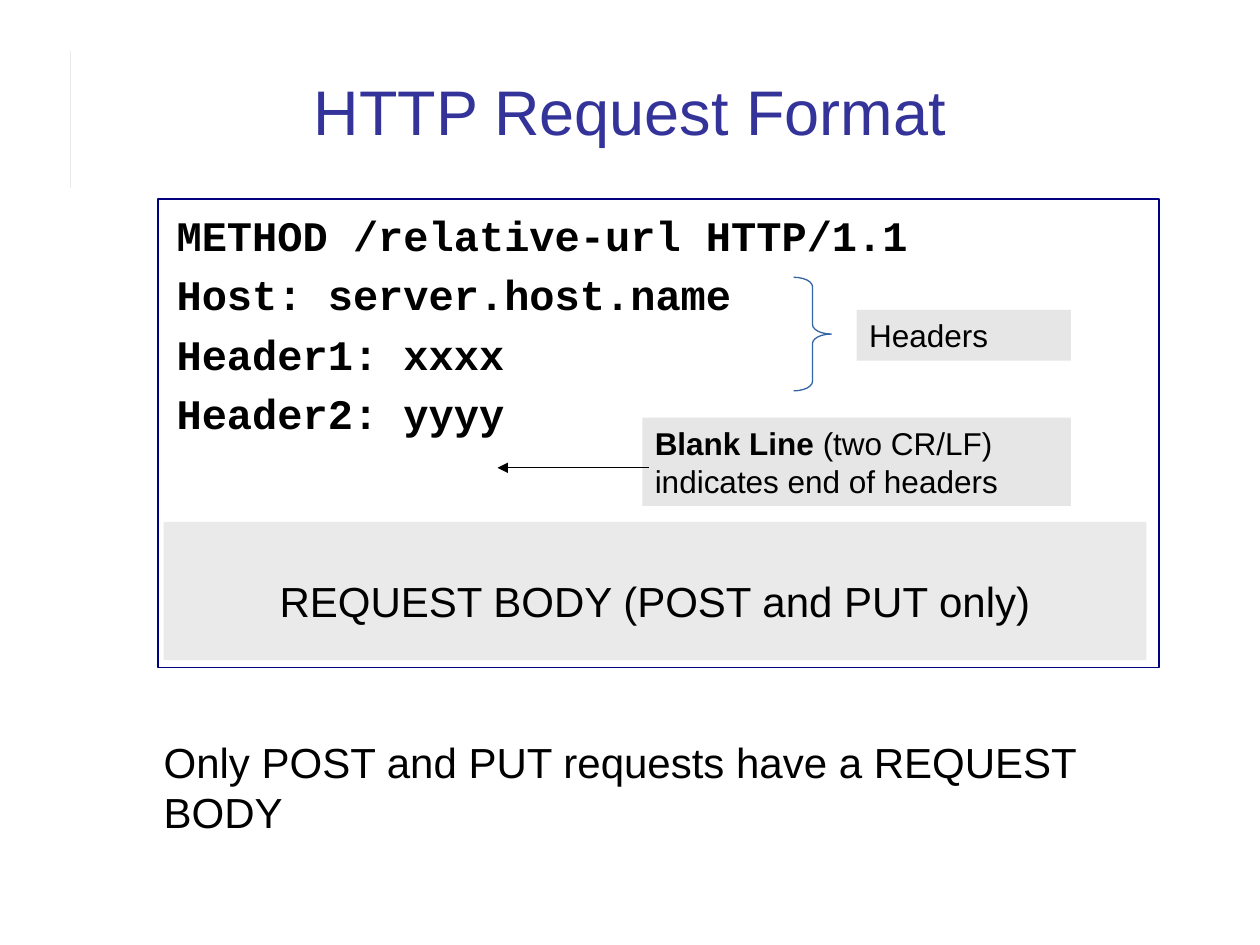
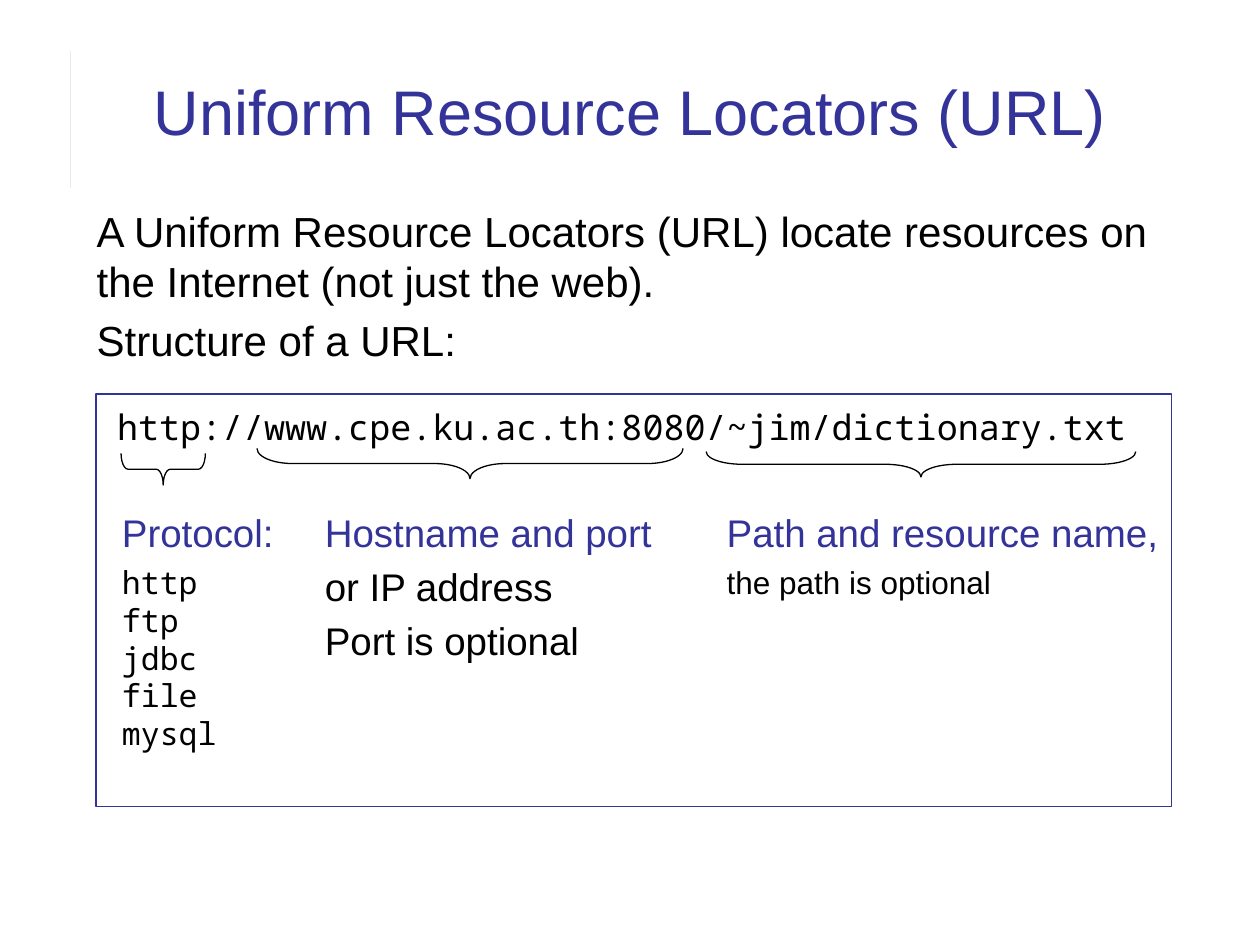
from lxml.etree import SubElement
from pptx import Presentation
from pptx.dml.color import RGBColor
from pptx.enum.shapes import MSO_CONNECTOR, MSO_SHAPE
from pptx.enum.text import MSO_ANCHOR, PP_ALIGN
from pptx.oxml.ns import qn
from pptx.util import Cm, Pt

INK = {
    "title": "333399", "text": "000000", "navy": "000080", "rule": "EAEAEA",
    "note": "E6E6E6", "body": "EAEAEA", "brace": "3465A4",
}
SANS, CODE, MONO = "Arial", "Courier New", "Noto Sans Mono"


def draw(slide, at, kind=None, fill=None, line=None, width=1, top=0.13):
    """Add a text box, or a preset shape if kind is given; at is in cm."""
    area = [Cm(n) for n in at]
    if kind is None:
        shape = slide.shapes.add_textbox(*area)
    else:
        shape = slide.shapes.add_shape(kind, *area)
        shape.shadow.inherit = False
    if fill:
        shape.fill.solid()
        shape.fill.fore_color.rgb = RGBColor.from_string(INK[fill])
    else:
        shape.fill.background()
    if line:
        shape.line.color.rgb = RGBColor.from_string(INK[line])
        shape.line.width = Pt(width)
    else:
        shape.line.fill.background()
    frame = shape.text_frame
    frame.word_wrap = True
    frame.vertical_anchor = MSO_ANCHOR.TOP
    frame.margin_left = frame.margin_right = Cm(0.25)
    frame.margin_top, frame.margin_bottom = Cm(top), Cm(0.13)
    return shape


def write(shape, text, size=18, font=SANS, color="text", bold=False,
          align=PP_ALIGN.LEFT, gap=0, join=False):
    """Add one paragraph, or with join a run at the end of the last one."""
    frame = shape.text_frame
    para = frame.paragraphs[-1]
    if not join:
        if para.runs:
            para = frame.add_paragraph()
            para.space_before = Pt(gap)
        para.alignment = align
        para.line_spacing = Pt(size * 1.2)
    run = para.add_run()
    run.text = text
    run.font.size, run.font.name, run.font.bold = Pt(size), font, bold
    run.font.color.rgb = RGBColor.from_string(INK[color])


deck = Presentation()
deck.slide_width, deck.slide_height = Cm(25.4), Cm(19.05)

# Shared title and rule
pages = []
for title in ("HTTP Request Format", "Uniform Resource Locators (URL)"):
    page = deck.slides.add_slide(deck.slide_layouts[6])
    rule = page.shapes.add_connector(
        MSO_CONNECTOR.STRAIGHT, Cm(1.42), Cm(1.02), Cm(1.42), Cm(3.78))
    rule.line.color.rgb = RGBColor.from_string(INK["rule"])
    rule.line.width = Pt(0.5)
    SubElement(rule._element.spPr, qn("a:effectLst"))
    head = draw(page, (1.7, 0.71, 22, 2.41))
    head.text_frame.vertical_anchor = MSO_ANCHOR.BOTTOM
    write(head, title, size=36, color="title", align=PP_ALIGN.CENTER)
    pages.append(page)
form, url = pages

# Request format
frame = draw(form, (3.18, 4.01, 20.19, 9.45), MSO_SHAPE.RECTANGLE,
             line="navy", top=0.22)
frame.text_frame.margin_left = Cm(0.38)
for text in ("METHOD /relative-url HTTP/1.1", "Host: server.host.name",
             "Header1: xxxx", "Header2: yyyy"):
    write(frame, text, size=24, font=CODE, bold=True, gap=5)

blank = draw(form, (12.95, 8.42, 8.64, 1.78), fill="note")
write(blank, "Blank Line", bold=True)
write(blank, " (two CR/LF) indicates end of headers", join=True)

arrow = form.shapes.add_connector(
    MSO_CONNECTOR.STRAIGHT, Cm(13.08), Cm(9.43), Cm(10.03), Cm(9.43))
arrow.line.color.rgb = RGBColor.from_string(INK["text"])
arrow.line.width = Pt(0.75)
SubElement(arrow.line._get_or_add_ln(), qn("a:tailEnd"), type="triangle")
SubElement(arrow._element.spPr, qn("a:effectLst"))

body = draw(form, (3.3, 10.52, 19.81, 2.79), fill="body", top=1.27)
write(body, "REQUEST BODY (POST and PUT only)", size=24, align=PP_ALIGN.CENTER)
label = draw(form, (17.27, 6.25, 4.32, 1.02), fill="note")
write(label, "Headers")
only = draw(form, (3.05, 14.71, 20.32, 2.29))
write(only, "Only POST and PUT requests have a REQUEST BODY", size=24)

# URL structure
intro = draw(url, (1.7, 4.01, 22, 3.6))
write(intro, "A Uniform Resource Locators (URL) locate resources on "
      "the Internet (not just the web).", size=24)
write(intro, "Structure of a URL:", size=24, gap=5)

draw(url, (1.93, 7.95, 21.69, 8.31), MSO_SHAPE.RECTANGLE, line="title")
link = draw(url, (2.11, 8.05, 21.59, 1.09))
write(link, "http://www.cpe.ku.ac.th:8080/~jim/dictionary.txt",
      size=20, font=MONO)

parts = [
    (2.21, 3.89, 5.16, "Protocol:",
     ("http", "ftp", "jdbc", "file", "mysql"), 18, MONO),
    (6.3, 7.92, 3.38, "Hostname and port",
     ("or IP address", "Port is optional"), 22, SANS),
    (14.4, 9.4, 2.11, "Path and resource name,",
     ("the path is optional",), 18, SANS),
]
for left, wide, high, name, rows, size, font in parts:
    part = draw(url, (left, 10.13, wide, high))
    write(part, name, size=22, color="title")
    for i, row in enumerate(rows):
        gap = 0 if font == MONO and i else 4.5
        write(part, row, size=size, font=font, gap=gap)

# Braces
for page, at, turn, color in (
    (form, (16, 5.59, 0.76, 2.29), 0, "brace"),
    (url, (2.97, 8.61, 0.64, 1.7), 90, "text"),
    (url, (9.17, 5.05, 0.61, 8.59), 90, "text"),
    (url, (18.31, 5.03, 0.51, 8.66), 90, "text"),
):
    brace = draw(page, at, MSO_SHAPE.RIGHT_BRACE, line=color, width=0.75)
    brace.rotation = turn
    brace.adjustments[0] = at[3] / at[2] / 12  # curl is 1/12 of the length

deck.save("out.pptx")
